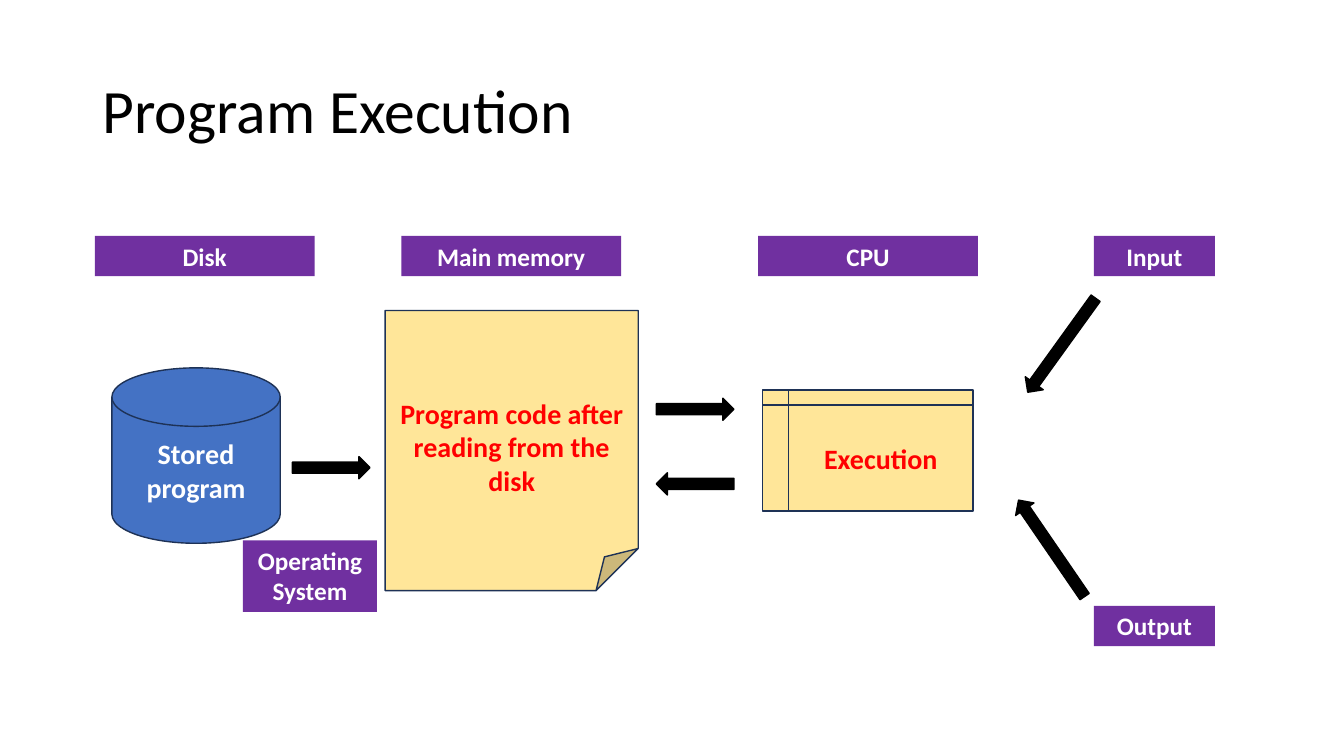
from pptx import Presentation
from pptx.dml.color import RGBColor
from pptx.enum.shapes import MSO_SHAPE as Shape
from pptx.enum.text import MSO_ANCHOR as Anchor, PP_ALIGN as Align
from pptx.util import Inches, Pt

BLACK, WHITE, RED = "000000", "FFFFFF", "FF0000"
PURPLE, SAND, BLUE, NAVY = "7030A0", "FFE699", "4472C4", "1E3256"
LABEL_TOP = 2.34
LABEL_HEIGHT = 0.4


def color(value):
    """Turn a hex string into a colour."""
    return RGBColor.from_string(value)


def write(box, text, size, ink, bold=True, align=Align.CENTER, anchor=Anchor.MIDDLE):
    """Put one formatted paragraph into a box."""
    frame = box.text_frame
    frame.text = text
    frame.word_wrap = True
    frame.vertical_anchor = anchor
    para = frame.paragraphs[0]
    para.alignment = align
    font = para.runs[0].font
    font.name, font.size, font.bold = "Calibri", Pt(size), bold
    font.color.rgb = color(ink)


def add_title(page, text):
    """Add the slide heading."""
    box = page.shapes.add_textbox(Inches(0.92), Inches(0.4), Inches(11.5), Inches(1.45))
    write(box, text, 44, BLACK, bold=False, align=Align.LEFT)
    box.text_frame.paragraphs[0].line_spacing = 0.9


def add_figure(page, kind, left, top, width, height, fill, line=None):
    """Add a flat preset shape, outlined if a line colour is given."""
    figure = page.shapes.add_shape(
        kind, Inches(left), Inches(top), Inches(width), Inches(height))
    figure.shadow.inherit = False
    figure.fill.solid()
    figure.fill.fore_color.rgb = color(fill)
    if line:
        figure.line.color.rgb = color(line)
        figure.line.width = Pt(1)
    else:
        figure.line.fill.background()
    return figure


def add_label(page, text, left, top=LABEL_TOP, width=2.18, height=LABEL_HEIGHT):
    """Add a purple caption."""
    label = add_figure(page, Shape.RECTANGLE, left, top, width, height, PURPLE)
    write(label, text, 18, WHITE, anchor=Anchor.TOP)


def add_unit(page, kind, text, left, top, width, height, fill, ink):
    """Add an outlined machine part with its text."""
    unit = add_figure(page, kind, left, top, width, height, fill, NAVY)
    write(unit, text, 20, ink)
    return unit


def add_arrow(page, kind, left, top, width=0.77, height=0.22, rotation=0):
    """Add a black block arrow."""
    arrow = add_figure(page, kind, left, top, width, height, BLACK, BLACK)
    arrow.rotation = rotation


def main():
    """Build the program execution slide."""
    deck = Presentation()
    deck.slide_width, deck.slide_height = Inches(13.33), Inches(7.5)
    page = deck.slides.add_slide(deck.slide_layouts[6])

    add_title(page, "Program Execution")
    for text, left in (("Disk", 0.94), ("Main memory", 3.98), ("CPU", 7.52)):
        add_label(page, text, left)
    for text, top in (("Input", LABEL_TOP), ("Output", 6.01)):
        add_label(page, text, 10.85, top, 1.2)

    add_unit(page, Shape.FLOWCHART_MAGNETIC_DISK, "Stored program",
             1.11, 3.65, 1.67, 1.74, BLUE, WHITE)
    memory = add_unit(page, Shape.FOLDED_CORNER, "Program code after reading from the disk",
                      3.82, 3.08, 2.51, 2.78, SAND, RED)
    memory.text_frame.margin_top = Inches(0.39)
    add_unit(page, Shape.FLOWCHART_INTERNAL_STORAGE, "Execution",
             7.56, 3.87, 2.09, 1.2, SAND, RED)

    add_arrow(page, Shape.RIGHT_ARROW, 2.9, 4.53)
    add_arrow(page, Shape.RIGHT_ARROW, 6.51, 3.95)
    add_arrow(page, Shape.LEFT_ARROW, 6.51, 4.69)
    add_arrow(page, Shape.DOWN_ARROW, 10.42, 2.85, 0.22, 1.15, 35.8)
    add_arrow(page, Shape.UP_ARROW, 10.32, 4.86, 0.22, 1.16, 325.6)
    add_label(page, "Operating System", 2.41, 5.36, 1.33, 0.71)

    deck.save("out.pptx")


if __name__ == "__main__":
    main()
